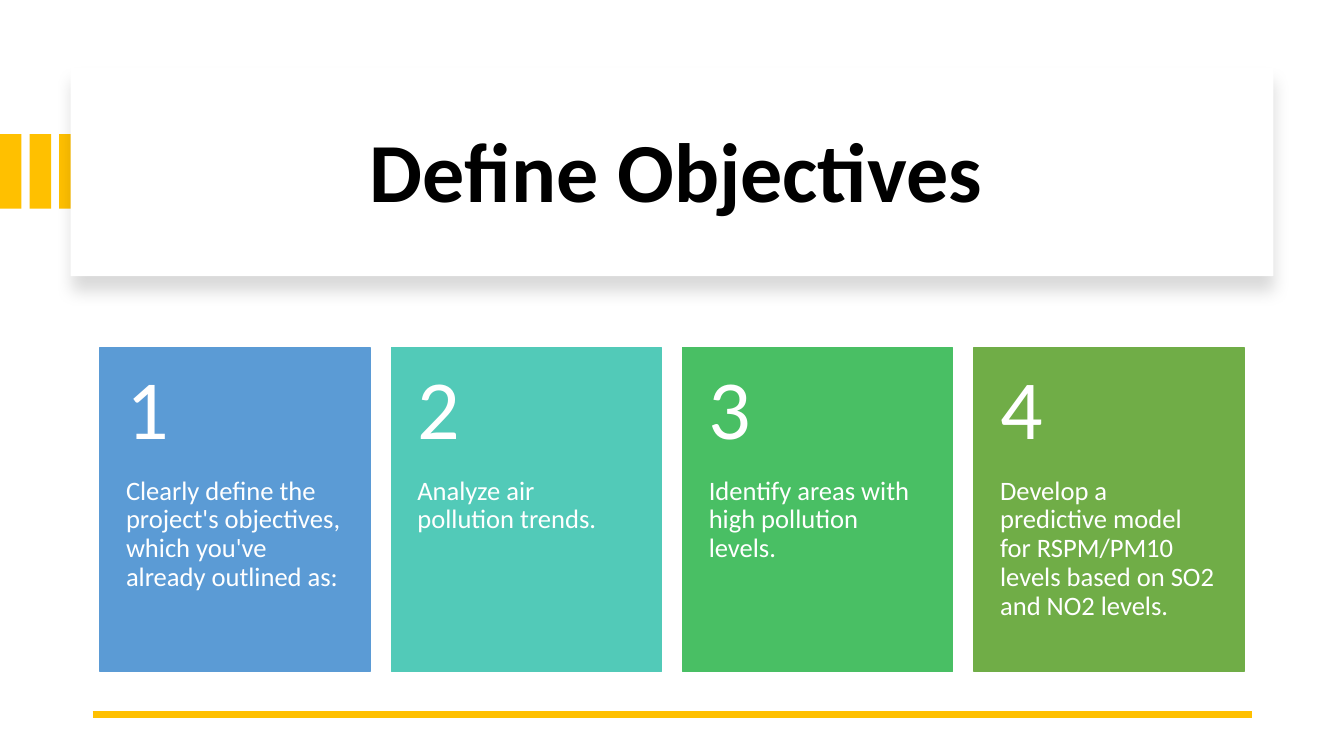
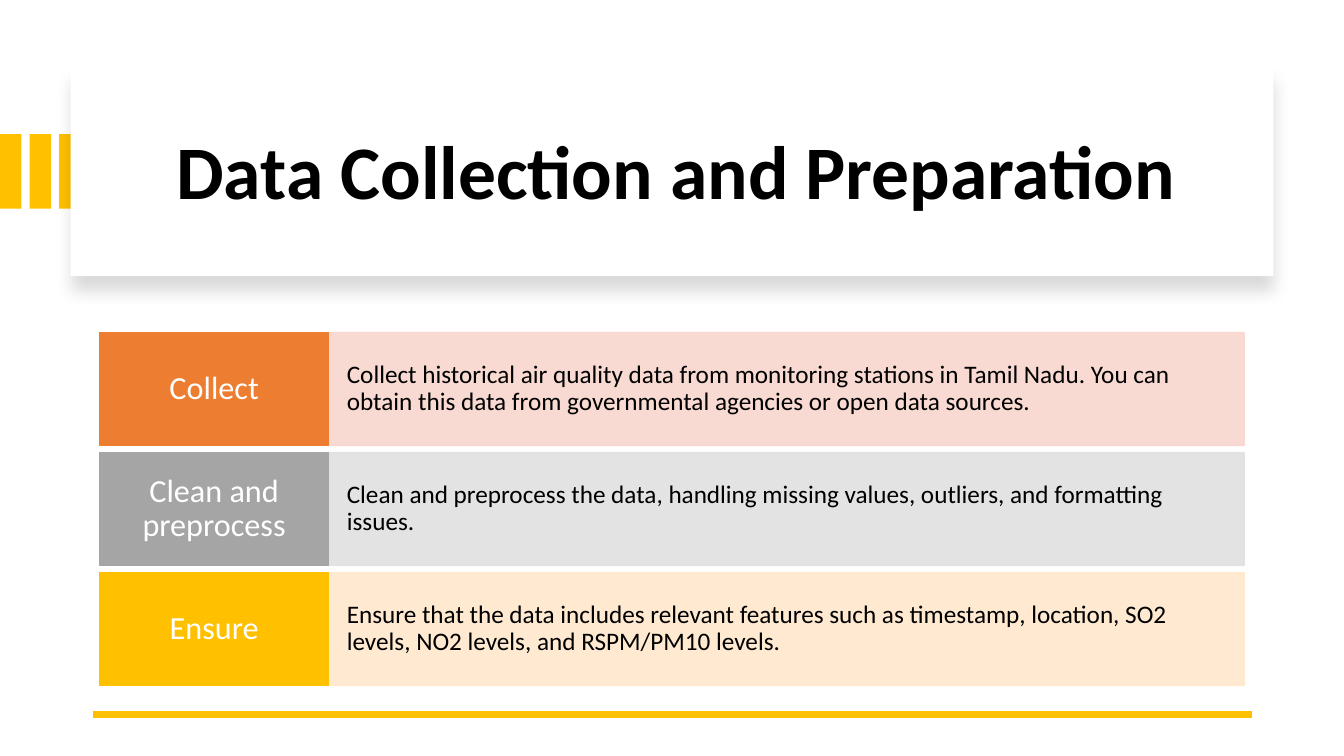
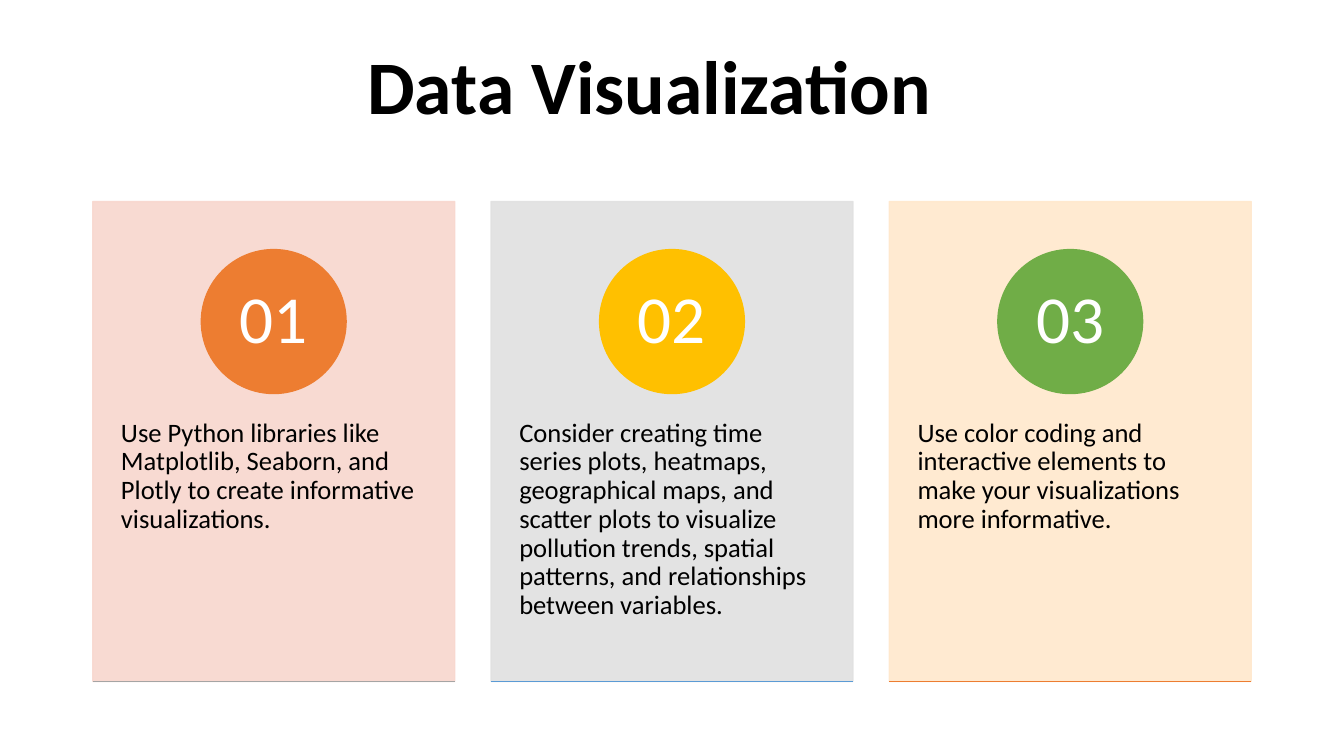
from dataclasses import dataclass

from pptx import Presentation
from pptx.dml.color import RGBColor
from pptx.enum.shapes import MSO_CONNECTOR, MSO_SHAPE
from pptx.enum.text import MSO_ANCHOR as Anchor, PP_ALIGN as Align
from pptx.oxml.ns import qn
from pptx.util import Inches, Pt
from lxml.etree import SubElement

FONT = "Calibri"
COLORS = {
    "white": "FFFFFF", "black": "000000", "gold": "FFC000", "blue": "5B9BD5",
    "teal": "52CAB8", "emerald": "49BF64", "green": "70AD47",
    "orange": "ED7D31", "gray": "A5A5A5",
    "pale_orange": "F8D7CE", "pale_gray": "E1E1E1", "pale_gold": "FFE8CC",
}


@dataclass
class Box:
    left: float
    top: float
    width: float
    height: float

    def inches(self):
        return [Inches(n) for n in (self.left, self.top, self.width, self.height)]

    def inner(self, x, y, width, height):
        """Return an inner box, given as shares of this one."""
        return Box(self.left + x * self.width, self.top + y * self.height,
                   width * self.width, height * self.height)

    def columns(self, count, gap):
        width = (self.width - gap * (count - 1)) / count
        return [Box(self.left + i * (width + gap), self.top, width, self.height)
                for i in range(count)]

    def rows(self, count, gap):
        height = (self.height - gap * (count - 1)) / count
        return [Box(self.left, self.top + i * (height + gap), self.width, height)
                for i in range(count)]


STRIPES = Box(0, 1.33, 0.8, 0.74)
BANNER = Box(0.7, 0.67, 11.93, 2.07)
BANNER_TITLE = Box(1.14, 0.89, 11.13, 1.7)
PLAIN_TITLE = Box(0.92, 0, 11.04, 1.78)
FOOTER = Box(0.92, 7.09, 11.5, 0)


def rgb(color):
    return RGBColor.from_string(COLORS[color])


def set_opacity(fill_parent, percent):
    color = fill_parent.find(qn("a:solidFill"))[0]
    SubElement(color, qn("a:alpha"), val=str(percent * 1000))


def write(shape, text, size, color="white", align=Align.LEFT,
          anchor=Anchor.MIDDLE, insets=(0, 0, 0, 0), bold=False):
    """Fill a shape with one paragraph; insets are left, top, right, bottom."""
    frame = shape.text_frame
    frame.word_wrap = True
    frame.vertical_anchor = anchor
    (frame.margin_left, frame.margin_top,
     frame.margin_right, frame.margin_bottom) = [Inches(n) for n in insets]
    frame.text = text
    para = frame.paragraphs[0]
    para.alignment = align
    para.line_spacing = 0.9
    font = para.runs[0].font
    font.name, font.size, font.bold = FONT, Pt(size), bold
    font.color.rgb = rgb(color)


def add_block(page, box, color, kind=MSO_SHAPE.RECTANGLE, outlined=True, opacity=100):
    shape = page.shapes.add_shape(kind, *box.inches())
    shape.shadow.inherit = False
    shape.fill.solid()
    shape.fill.fore_color.rgb = rgb(color)
    if outlined:
        shape.line.color.rgb = rgb(color)
        shape.line.width = Pt(1)
    else:
        shape.line.fill.background()
    if opacity < 100:
        properties = shape._element.spPr
        set_opacity(properties, opacity)
        set_opacity(properties.find(qn("a:ln")), opacity)
    return shape


def add_rule(page, box, color, width):
    """Draw a line along the bottom edge of the box."""
    left, top, across, down = box.inches()
    bottom = top + down
    rule = page.shapes.add_connector(
        MSO_CONNECTOR.STRAIGHT, left, bottom, left + across, bottom)
    rule.line.color.rgb = rgb(color)
    rule.line.width = Pt(width)
    SubElement(rule._element.spPr, qn("a:effectLst"))


def add_title(page, box, text, size):
    write(page.shapes.add_textbox(*box.inches()), text, size, "black",
          Align.CENTER, bold=True)


def add_soft_shadow(shape):
    effects = shape._element.spPr.find(qn("a:effectLst"))
    shadow = SubElement(effects, qn("a:outerShdw"), blurRad=str(Pt(11)),
                        dist=str(Pt(10)), dir="5400000", algn="t", rotWithShape="0")
    color = SubElement(shadow, qn("a:srgbClr"), val=COLORS["black"])
    SubElement(color, qn("a:alpha"), val="15000")


def new_page(deck):
    return deck.slides.add_slide(deck.slide_layouts[6])


def new_banner_page(deck, title, size):
    page = new_page(deck)
    for stripe in STRIPES.columns(3, 0.08):
        add_block(page, stripe, "gold", outlined=False)
    add_soft_shadow(add_block(page, BANNER, "white", outlined=False))
    add_title(page, BANNER_TITLE, title, size)
    add_rule(page, FOOTER, "gold", 4.5)
    return page


def add_number_card(page, box, number, text, color):
    number_box = box.inner(0, 0, 1, 0.4)
    write(add_block(page, box, color), text, 19, anchor=Anchor.TOP,
          insets=(0.26, number_box.height, 0.26, 0.36))
    write(page.shapes.add_textbox(*number_box.inches()), number, 60,
          insets=(0.26, 0.18, 0.26, 0.18))


def add_step_row(page, box, label, text, color, tint):
    write(add_block(page, box.inner(0.2, 0, 0.8, 1), tint, opacity=90), text, 18,
          "black", insets=(0.18, 0.29, 0.18, 0.29))
    write(add_block(page, box.inner(0, 0, 0.2, 1), color), label, 23,
          align=Align.CENTER, insets=(0.12, 0.11, 0.12, 0.11))


def add_badge_panel(page, box, number, text, color, tint, edge):
    write(add_block(page, box, tint, opacity=90), text, 19, "black",
          anchor=Anchor.TOP, insets=(0.28, 2.16, 0.28, 0.36))
    badge = add_block(page, box.inner(0.3, 0.1, 0.4, 0.3), color, MSO_SHAPE.OVAL)
    write(badge, number, 48, align=Align.CENTER)
    add_rule(page, box, edge, 1)


def build_objectives(deck):
    page = new_banner_page(deck, "Define Objectives", 60)
    cards = [
        ("1", "Clearly define the project's objectives, which you've already "
              "outlined as:", "blue"),
        ("2", "Analyze air pollution trends.", "teal"),
        ("3", "Identify areas with high pollution levels.", "emerald"),
        ("4", "Develop a predictive model for RSPM/PM10 levels based on SO2 "
              "and NO2 levels.", "green"),
    ]
    for box, card in zip(Box(0.99, 3.45, 11.35, 3.21).columns(4, 0.21), cards):
        add_number_card(page, box, *card)


def build_collection(deck):
    page = new_banner_page(deck, "Data Collection and Preparation", 54)
    steps = [
        ("Collect", "Collect historical air quality data from monitoring stations "
                    "in Tamil Nadu. You can obtain this data from governmental "
                    "agencies or open data sources.", "orange", "pale_orange"),
        ("Clean and preprocess", "Clean and preprocess the data, handling missing "
                                 "values, outliers, and formatting issues.",
         "gray", "pale_gray"),
        ("Ensure", "Ensure that the data includes relevant features such as "
                   "timestamp, location, SO2 levels, NO2 levels, and RSPM/PM10 "
                   "levels.", "gold", "pale_gold"),
    ]
    for box, step in zip(Box(0.99, 3.3, 11.35, 3.5).rows(3, 0.07), steps):
        add_step_row(page, box, *step)


def build_visualization(deck):
    page = new_page(deck)
    add_title(page, PLAIN_TITLE, "Data Visualization", 54)
    panels = [
        ("01", "Use Python libraries like Matplotlib, Seaborn, and Plotly to create "
               "informative visualizations.", "orange", "pale_orange", "gray"),
        ("02", "Consider creating time series plots, heatmaps, geographical maps, "
               "and scatter plots to visualize pollution trends, spatial patterns, "
               "and relationships between variables.", "gold", "pale_gray", "blue"),
        ("03", "Use color coding and interactive elements to make your "
               "visualizations more informative.", "green", "pale_gold", "orange"),
    ]
    for box, panel in zip(Box(0.92, 2, 11.49, 4.76).columns(3, 0.36), panels):
        add_badge_panel(page, box, *panel)


def main():
    deck = Presentation()
    deck.slide_width, deck.slide_height = Inches(13.33), Inches(7.5)
    build_objectives(deck)
    build_collection(deck)
    build_visualization(deck)
    deck.save("out.pptx")


if __name__ == "__main__":
    main()
